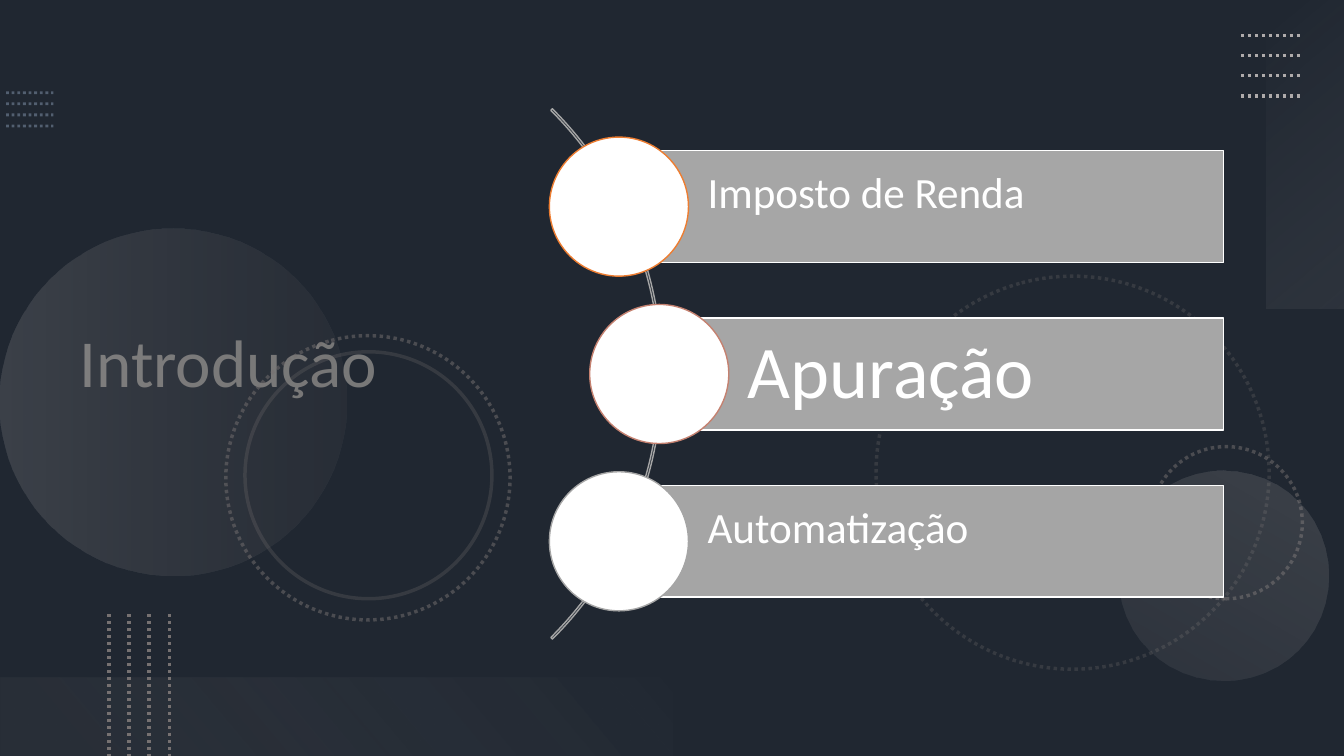
from lxml import etree
from pptx import Presentation
from pptx.dml.color import RGBColor
from pptx.enum.dml import MSO_LINE
from pptx.enum.shapes import MSO_CONNECTOR, MSO_SHAPE
from pptx.enum.text import MSO_ANCHOR, PP_ALIGN
from pptx.oxml import parse_xml
from pptx.oxml.ns import nsdecls, qn
from pptx.util import Inches, Pt

# Grid: square cells, 133.3 columns by 75 rows
CELL = Inches(0.1)
COLUMNS, ROWS = 133.33, 75
RECTANGLE, ELLIPSE, ARC = MSO_SHAPE.RECTANGLE, MSO_SHAPE.OVAL, MSO_SHAPE.BLOCK_ARC
DOTTED = MSO_LINE.ROUND_DOT
FONT = "Calibri"
WHITE, GRAY, LIGHT_GRAY = "FFFFFF", "767171", "AFABAB"

# Agenda rows: text, circle column, bar fill, circle outline, baseline shift
TOPICS = [
    ("Imposto de Renda", 54.5, "A6A6A6", "ED7D31", 30),
    ("Apuração", 58.5, "A6A6A6", "C48170", 0),
    ("Automatização", 54.5, "A5A5A5", "A5A5A5", 30),
]


def cells(*counts):
    return [round(count * CELL) for count in counts]


def color(hex_value):
    return RGBColor.from_string(hex_value)


def set_alpha(color_format_parent, percent):
    """Make the one solid colour inside the element partly transparent."""
    for rgb in color_format_parent.iter(qn("a:srgbClr")):
        etree.SubElement(rgb, qn("a:alpha")).set("val", str(percent * 1000))


def set_line(line, hex_value, width, dash=None):
    line.color.rgb = color(hex_value)
    line.width = Pt(width)
    if dash is not None:
        line.dash_style = dash


def add_shape(slide, kind, box, fill=None, line=None, rotation=0):
    shape = slide.shapes.add_shape(kind, *cells(*box))
    shape.shadow.inherit = False
    shape.rotation = rotation
    if fill:
        shape.fill.solid()
        shape.fill.fore_color.rgb = color(fill)
    else:
        shape.fill.background()
    if line:
        set_line(shape.line, *line)
    else:
        shape.line.fill.background()
    return shape


def add_gradient_shape(slide, kind, box, rotation, angle, stops):
    """Each stop is position, colour and opacity, in percent."""
    shape = add_shape(slide, kind, box, rotation=rotation)
    stop_xml = "".join(
        f'<a:gs pos="{position * 1000}"><a:srgbClr val="{hex_value}">'
        f'<a:alpha val="{opacity * 1000}"/></a:srgbClr></a:gs>'
        for position, hex_value, opacity in stops
    )
    gradient = parse_xml(
        f'<a:gradFill {nsdecls("a")} rotWithShape="1"><a:gsLst>{stop_xml}</a:gsLst>'
        f'<a:lin ang="{angle * 60000}" scaled="0"/></a:gradFill>'
    )
    properties = shape._element.spPr
    properties.replace(properties.find(qn("a:noFill")), gradient)


def add_ring(slide, left, top, size, opacity, dash=DOTTED, rotation=75):
    ring = add_shape(slide, ELLIPSE, (left, top, size, size),
                     line=(GRAY, 2.5, dash), rotation=rotation)
    set_alpha(ring._element.spPr.find(qn("a:ln")), opacity)


def add_dotted_lines(slide, start, end, step, hex_value, width, opacity=100):
    """Four parallel lines, each moved by step from the one before."""
    for index in range(4):
        shift_x, shift_y = step[0] * index, step[1] * index
        connector = slide.shapes.add_connector(
            MSO_CONNECTOR.STRAIGHT,
            *cells(start[0] + shift_x, start[1] + shift_y,
                   end[0] + shift_x, end[1] + shift_y))
        set_line(connector.line, hex_value, width, DOTTED)
        properties = connector._element.spPr
        if opacity < 100:
            set_alpha(properties, opacity)
        etree.SubElement(properties, qn("a:effectLst"))


def set_text(shape, text, size, baseline=0):
    frame = shape.text_frame
    frame.text = text
    frame.word_wrap = True
    frame.vertical_anchor = MSO_ANCHOR.MIDDLE
    paragraph = frame.paragraphs[0]
    paragraph.alignment = PP_ALIGN.LEFT
    paragraph.line_spacing = 0.9
    run = paragraph.runs[0]
    run.font.name = FONT
    run.font.size = Pt(size)
    run.font.color.rgb = color(WHITE)
    if baseline:
        run._r.get_or_add_rPr().set("baseline", str(baseline * 1000))


def add_decoration(slide):
    # Dark veil and dots at top left
    veil = add_shape(slide, RECTANGLE, (0, 0, COLUMNS, ROWS), "000000")
    set_alpha(veil._element.spPr, 53)
    add_dotted_lines(slide, (0.6, 12.5), (5.3, 12.5), (0, -1.1), "8497B0", 2, 50)

    # Rings and discs
    add_ring(slide, 86.9, 27.4, 39, 25)
    add_ring(slide, 114.1, 44.3, 15.1, 50, rotation=270)
    add_gradient_shape(slide, ELLIPSE, (0, 22.7, 34.4, 34.4), 270, 90,
                       [(0, LIGHT_GRAY, 20), (100, GRAY, 10)])
    add_gradient_shape(slide, ELLIPSE, (111, 46.7, 20.8, 20.8), 210, 90,
                       [(0, LIGHT_GRAY, 10), (100, LIGHT_GRAY, 20)])
    add_ring(slide, 22.4, 33.3, 28.2, 50)
    add_ring(slide, 24.3, 34.9, 24.5, 25, dash=None)

    # Corner bands and their dots
    add_gradient_shape(slide, RECTANGLE, (114.2, 11.4, 30.6, 7.8), 270, 140,
                       [(0, "F5F5F5", 0), (100, LIGHT_GRAY, 10)])
    add_dotted_lines(slide, (123.1, 3.5), (129.1, 3.5), (0, 2), LIGHT_GRAY, 2.5)
    add_gradient_shape(slide, RECTANGLE, (0, 67.2, 66.7, 7.8), 180, 140,
                       [(10, GRAY, 10), (100, "F1F0F0", 0)])
    add_dotted_lines(slide, (16.8, 60.9), (16.8, ROWS), (-2, 0), GRAY, 2.5)


def add_title(slide, text):
    title = slide.shapes.title
    title.left, title.top, title.width, title.height = cells(6.9, 5.4, 45.9, 61.7)
    set_text(title, text, 48)


def add_agenda(slide):
    arc = add_shape(slide, ARC, (-8.7, -0.1, 74.4, 74.4), line=("A5A5A5", 1))
    for index, value in enumerate((189, 27, 0.003)):
        arc.adjustments[index] = value

    circle_size, bar_height, bar_right = 13.8, 11.1, 121.4
    for row, (text, left, fill, outline, baseline) in enumerate(TOPICS):
        top = 13.6 + 16.6 * row
        bar_left = left + circle_size / 2
        bar = add_shape(
            slide, RECTANGLE,
            (bar_left, top + (circle_size - bar_height) / 2,
             bar_right - bar_left, bar_height),
            fill, (WHITE, 1))
        frame = bar.text_frame
        frame.margin_left = cells(8.8)[0]
        frame.margin_top = frame.margin_right = frame.margin_bottom = cells(1.5)[0]
        set_text(bar, text, 53, baseline)
        add_shape(slide, ELLIPSE, (left, top, circle_size, circle_size),
                  WHITE, (outline, 1))


def main():
    presentation = Presentation()
    presentation.slide_width, presentation.slide_height = cells(COLUMNS, ROWS)
    slide = presentation.slides.add_slide(presentation.slide_layouts[5])
    slide.background.fill.solid()
    slide.background.fill.fore_color.rgb = color("44546A")
    add_decoration(slide)
    add_title(slide, "Introdução")
    add_agenda(slide)
    presentation.save("out.pptx")


if __name__ == "__main__":
    main()
